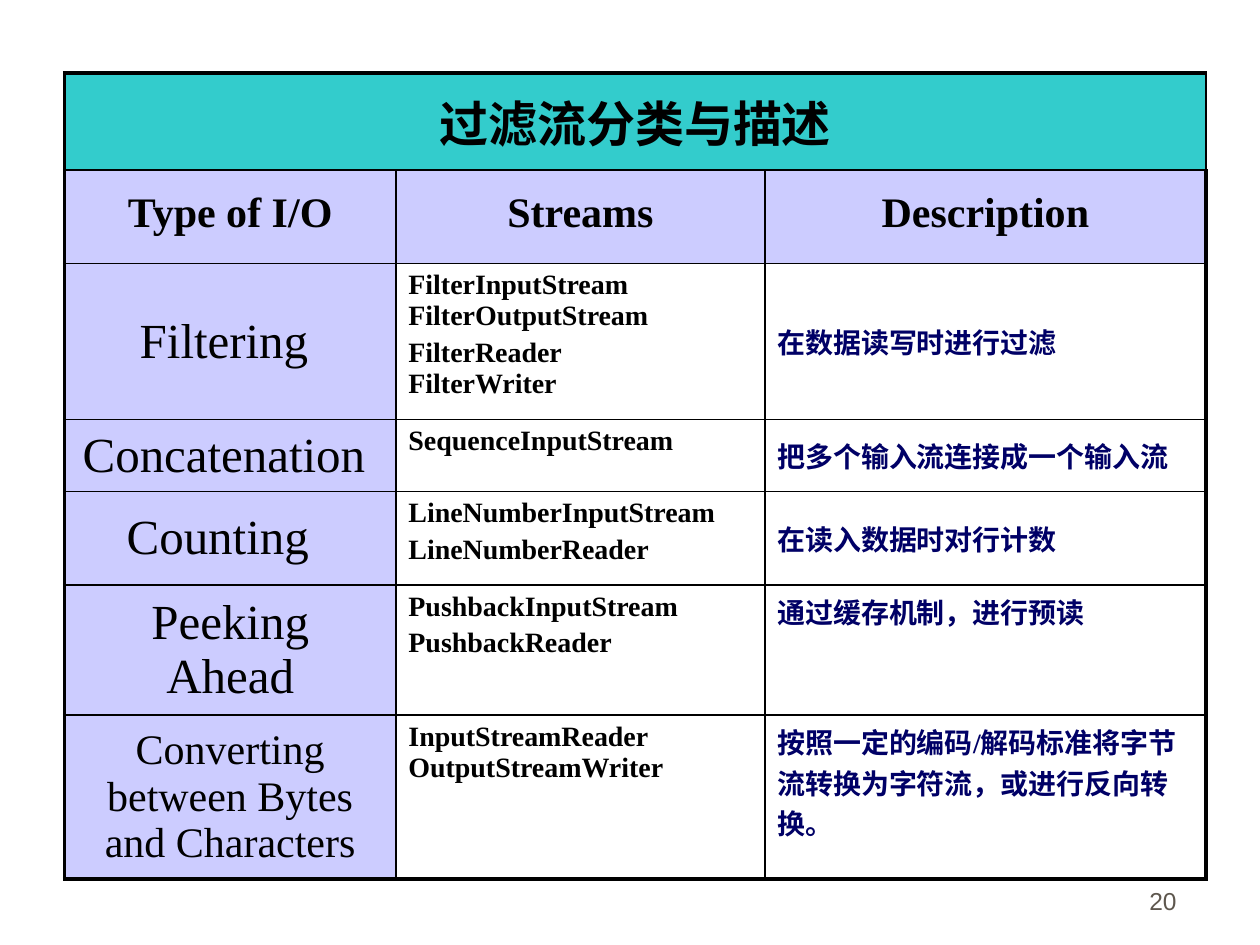
from dataclasses import dataclass

from lxml.etree import SubElement
from pptx import Presentation
from pptx.dml.color import RGBColor
from pptx.enum.text import MSO_ANCHOR, PP_ALIGN
from pptx.oxml.ns import qn
from pptx.util import Cm, Pt


@dataclass(frozen=True)
class Theme:
    black: str = "000000"
    navy: str = "000066"
    teal: str = "33CCCC"
    lavender: str = "CCCCFF"
    grey: str = "5E574E"
    table_font: str = "Times New Roman"
    number_font: str = "Arial"
    title_size: int = 28
    heading_size: int = 24
    body_size: int = 16
    number_size: int = 14
    outer_line: float = 2.25
    inner_line: float = 1


@dataclass(frozen=True)
class Category:
    label: str
    streams: tuple
    description: str
    label_size: int = Theme.title_size
    insets: tuple = (0, 0)
    anchor: MSO_ANCHOR = MSO_ANCHOR.MIDDLE


THEME = Theme()
TITLE = "过滤流分类与描述"
HEADINGS = ("Type of I/O", "Streams", "Description")
COLUMN_WIDTHS = (6.68, 7.44, 8.89)
ROW_HEIGHTS = (1.96, 1.88, 3.15, 1.45, 1.88, 2.62, 3.3)
CELL_MARGIN = 0.25
CATEGORIES = (
    Category(
        "Filtering",
        ("FilterInputStream\nFilterOutputStream", "FilterReader\nFilterWriter"),
        "在数据读写时进行过滤",
        insets=(0, 0.25),
    ),
    Category(
        "Concatenation",
        ("SequenceInputStream",),
        "把多个输入流连接成一个输入流",
        insets=(0, 0.25),
    ),
    Category(
        "Counting",
        ("LineNumberInputStream", "LineNumberReader"),
        "在读入数据时对行计数",
        insets=(0, 0.5),
    ),
    Category(
        "Peeking Ahead",
        ("PushbackInputStream", "PushbackReader"),
        "通过缓存机制，进行预读",
        insets=(0.5, 0.5),
        anchor=MSO_ANCHOR.TOP,
    ),
    Category(
        "Converting between Bytes and Characters",
        ("InputStreamReader\nOutputStreamWriter",),
        "按照一定的编码/解码标准将字节流转换为字符流，或进行反向转换。",
        label_size=THEME.heading_size,
        anchor=MSO_ANCHOR.TOP,
    ),
)


def add_span(para, text, size, color, bold=False, font=THEME.table_font):
    span = para.add_run()
    span.text = text
    span.font.name = font
    span.font.size = Pt(size)
    span.font.bold = bold
    span.font.color.rgb = RGBColor.from_string(color)


def write_cell(cell, paragraphs, size, color=THEME.black, bold=True,
               align=PP_ALIGN.LEFT, anchor=MSO_ANCHOR.MIDDLE, spacing=None):
    cell.vertical_anchor = anchor
    for index, text in enumerate(paragraphs):
        frame = cell.text_frame
        para = frame.add_paragraph() if index else frame.paragraphs[0]
        para.alignment = align
        if index:
            para.space_before = Pt(size * 0.2)
        if spacing:
            para.line_spacing = spacing
        for line_index, line in enumerate(text.split("\n")):
            if line_index:
                para.add_line_break()
            add_span(para, line, size, color, bold)


def draw_borders(cell, outer_sides):
    properties = cell._tc.get_or_add_tcPr()
    for side in "LRTB":
        width = THEME.outer_line if side in outer_sides else THEME.inner_line
        line = SubElement(properties, qn(f"a:ln{side}"), w=str(Pt(width)))
        fill = SubElement(line, qn("a:solidFill"))
        SubElement(fill, qn("a:srgbClr"), val=THEME.black)


def style_grid(table):
    last_row, last_column = len(ROW_HEIGHTS) - 1, len(COLUMN_WIDTHS) - 1
    for row in range(last_row + 1):
        for column in range(last_column + 1):
            cell = table.cell(row, column)
            edges = {"L": column == 0, "R": column == last_column,
                     "T": row == 0, "B": row == last_row}
            draw_borders(cell, [side for side, outer in edges.items() if outer])
            if row > 1 and column > 0:
                cell.fill.background()
            else:
                cell.fill.solid()
                color = THEME.lavender if row else THEME.teal
                cell.fill.fore_color.rgb = RGBColor.from_string(color)


def fill_category(table, row, category):
    label, streams, description = (table.cell(row, column) for column in range(3))
    left, right = category.insets
    label.margin_left = Cm(CELL_MARGIN + left)
    label.margin_right = Cm(CELL_MARGIN + right)
    write_cell(label, [category.label], category.label_size,
               bold=False, align=PP_ALIGN.CENTER)
    write_cell(streams, category.streams, THEME.body_size, anchor=MSO_ANCHOR.TOP)
    write_cell(description, [category.description], THEME.body_size,
               THEME.navy, anchor=category.anchor)


def add_stream_table(page, left, top):
    table = page.shapes.add_table(
        len(ROW_HEIGHTS), len(COLUMN_WIDTHS), Cm(left), Cm(top),
        Cm(sum(COLUMN_WIDTHS)), Cm(sum(ROW_HEIGHTS)),
    ).table
    table.first_row = table.horz_banding = False
    for column, width in zip(table.columns, COLUMN_WIDTHS):
        column.width = Cm(width)
    for row, height in zip(table.rows, ROW_HEIGHTS):
        row.height = Cm(height)
    style_grid(table)
    table.cell(0, 0).merge(table.cell(0, len(COLUMN_WIDTHS) - 1))
    write_cell(table.cell(0, 0), [TITLE], THEME.title_size, align=PP_ALIGN.CENTER)
    for column, heading in enumerate(HEADINGS):
        write_cell(table.cell(1, column), [heading], THEME.heading_size,
                   align=PP_ALIGN.CENTER, spacing=0.8)
    for row, category in enumerate(CATEGORIES, start=2):
        fill_category(table, row, category)


def add_page_number(page, left, top, width, height):
    box = page.shapes.add_textbox(Cm(left), Cm(top), Cm(width), Cm(height))
    frame = box.text_frame
    frame.word_wrap = True
    frame.vertical_anchor = MSO_ANCHOR.BOTTOM
    para = frame.paragraphs[0]
    para.alignment = PP_ALIGN.RIGHT
    add_span(para, "20", THEME.number_size, THEME.grey, font=THEME.number_font)


def main():
    deck = Presentation()
    deck.slide_width, deck.slide_height = Cm(25.4), Cm(19.05)
    page = deck.slides.add_slide(deck.slide_layouts[6])
    add_page_number(page, 18.69, 17.3, 5.28, 1.27)
    add_stream_table(page, 1.3, 1.47)
    deck.save("out.pptx")


if __name__ == "__main__":
    main()
